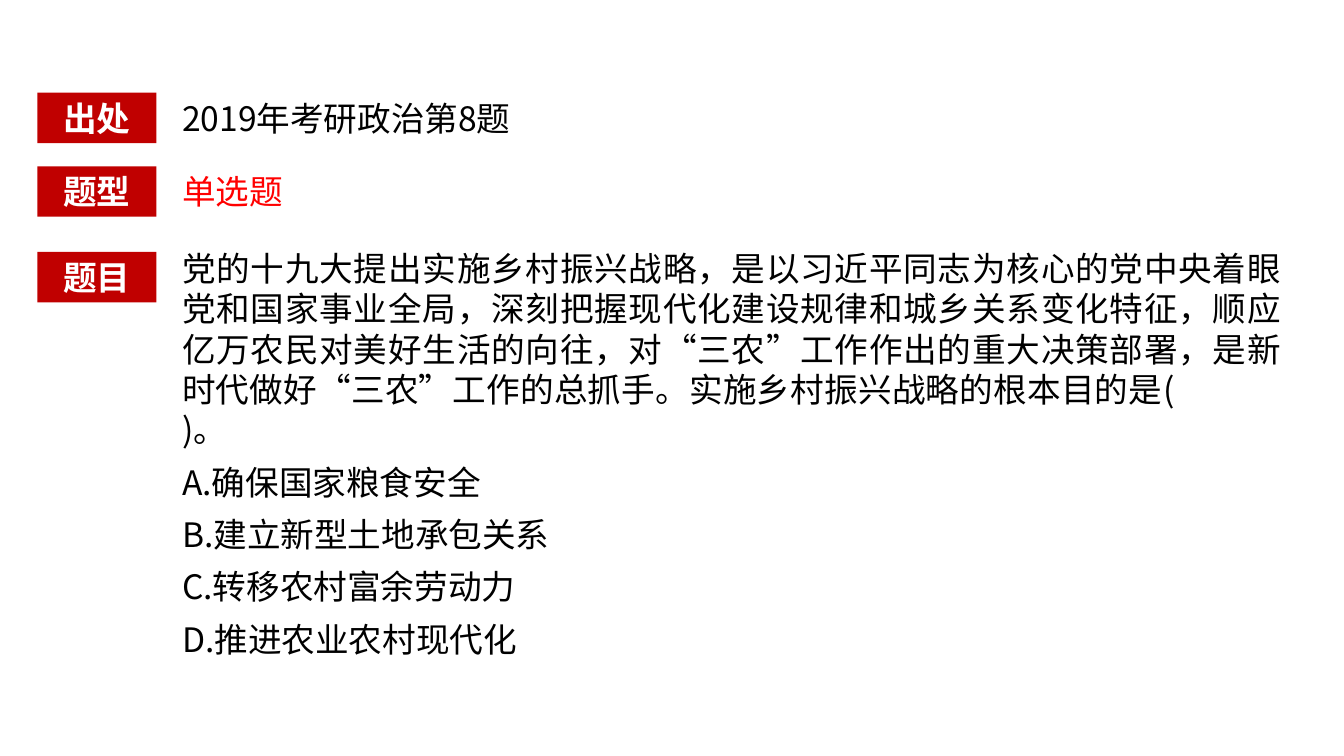
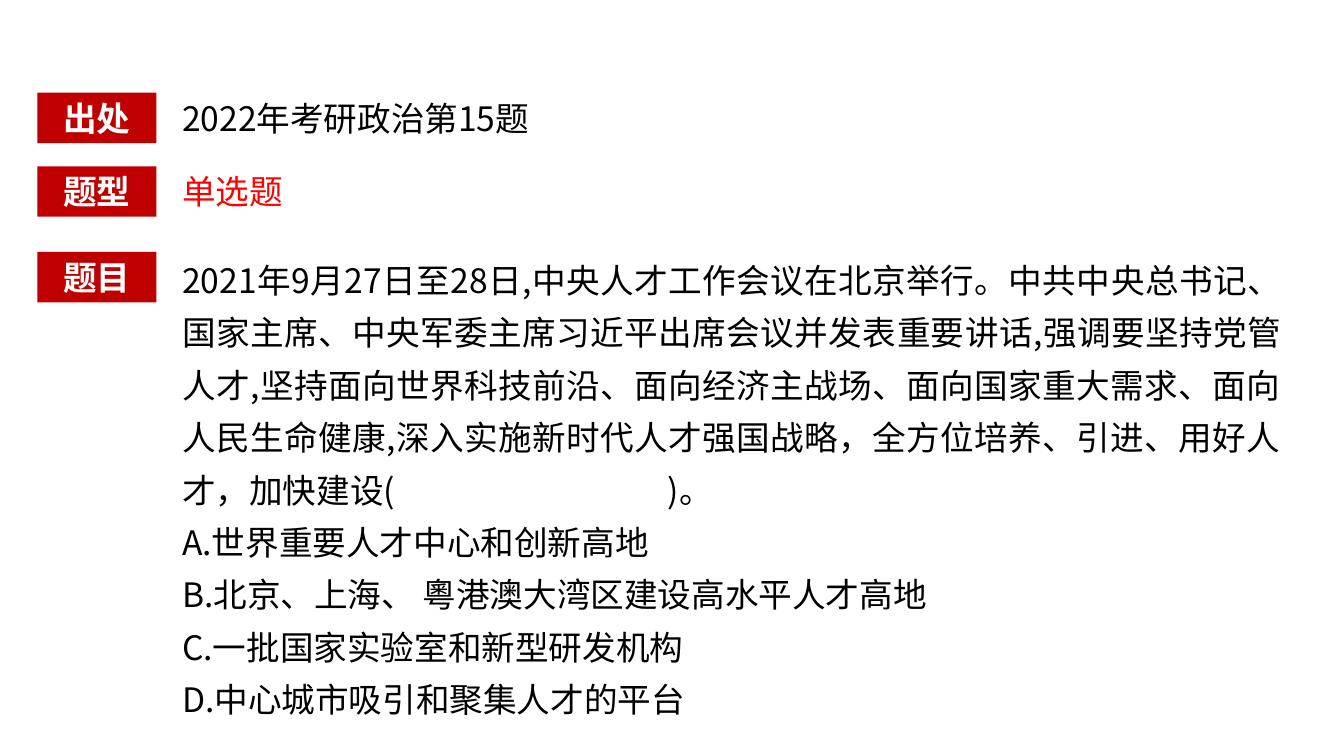
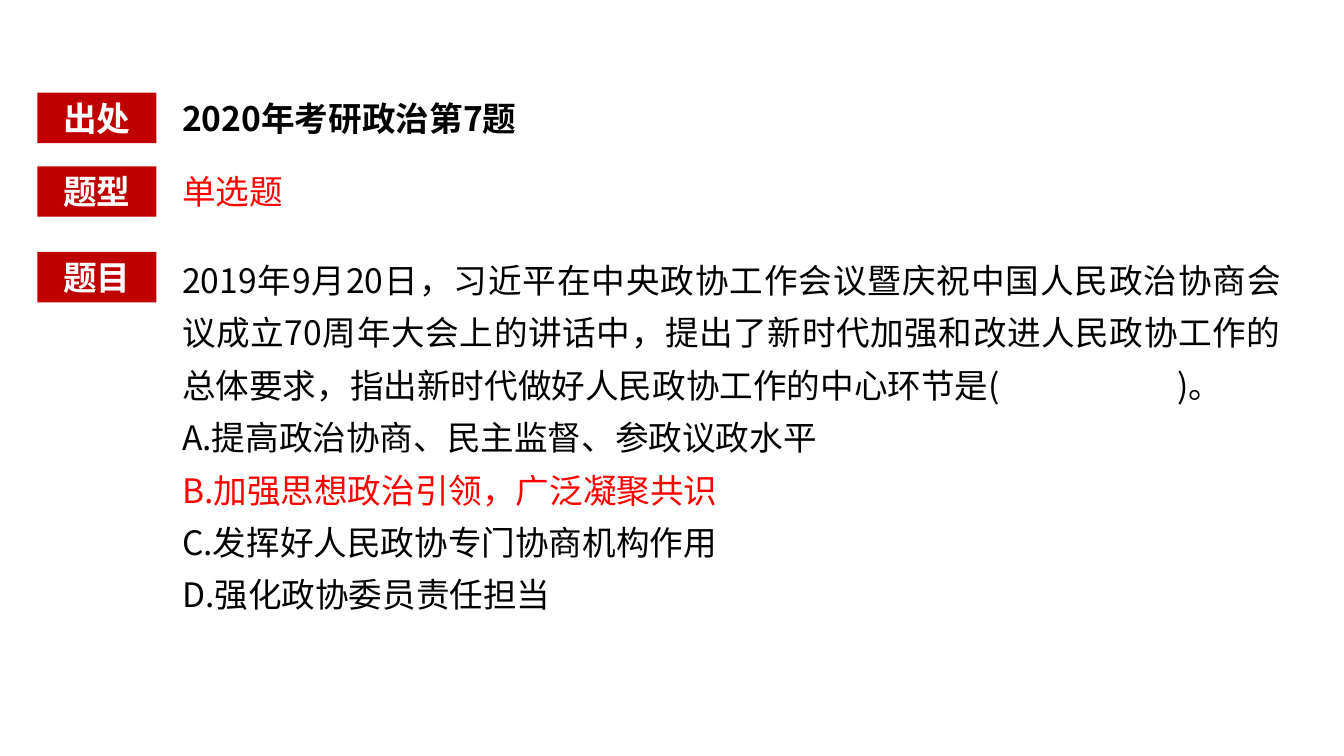
"""Build three exam-question slides that share one labelled layout."""
import pptx
import pptx.util
import pptx.dml.color
import pptx.enum.shapes
import pptx.enum.text
import pptx.oxml.ns
import lxml.etree

Pt = pptx.util.Pt
RGBColor = pptx.dml.color.RGBColor
ALIGN = pptx.enum.text.PP_ALIGN
ANCHOR = pptx.enum.text.MSO_ANCHOR
qn = pptx.oxml.ns.qn

FONT = "Noto Sans CJK SC"
TEXT_SIZE = 24
BLACK = RGBColor(0x00, 0x00, 0x00)
WHITE = RGBColor(0xFF, 0xFF, 0xFF)
RED = RGBColor(0xFF, 0x00, 0x00)
DARK_RED = RGBColor(0xC0, 0x00, 0x00)

LABEL_LEFT, LABEL_WIDTH, ROW_HEIGHT = 26.64, 85, 36
TEXT_LEFT, LINE_WIDTH, QUESTION_WIDTH = 123, 652, 799.2
SOURCE_TOP, TYPE_TOP, LABEL_TOP, QUESTION_TOP = 66.24, 118.8, 180, 173.52
LABELS = [("出处", SOURCE_TOP), ("题型", TYPE_TOP), ("题目", LABEL_TOP)]
QUESTION_TYPE = "单选题"
OPTION_SPACING = 1.3

QUESTIONS = [
    {
        "source": "2019年考研政治第8题",
        "source_bold": False,
        "stem": "党的十九大提出实施乡村振兴战略，是以习近平同志为核心的党中央着眼党和国家事业全局，"
                "深刻把握现代化建设规律和城乡关系变化特征，顺应亿万农民对美好生活的向往，"
                "对“三农”工作作出的重大决策部署，是新时代做好“三农”工作的总抓手。"
                "实施乡村振兴战略的根本目的是(\t)。",
        "stem_spacing": 1.0,
        "tab_stops": [77, 780],
        "height": 300,
        "options": ["确保国家粮食安全", "建立新型土地承包关系", "转移农村富余劳动力", "推进农业农村现代化"],
        "answer": None,
    },
    {
        "source": "2022年考研政治第15题",
        "source_bold": False,
        "stem": "2021年9月27日至28日,中央人才工作会议在北京举行。中共中央总书记、国家主席、"
                "中央军委主席习近平出席会议并发表重要讲话,强调要坚持党管人才,"
                "坚持面向世界科技前沿、面向经济主战场、面向国家重大需求、面向人民生命健康,"
                "深入实施新时代人才强国战略，全方位培养、引进、用好人才，加快建设(\t)。",
        "stem_spacing": OPTION_SPACING,
        "tab_stops": [347],
        "height": 344,
        "options": ["世界重要人才中心和创新高地", "北京、上海、 粵港澳大湾区建设高水平人才高地",
                    "一批国家实验室和新型研发机构", "中心城市吸引和聚集人才的平台"],
        "answer": None,
    },
    {
        "source": "2020年考研政治第7题",
        "source_bold": True,
        "stem": "2019年9月20日，习近平在中央政协工作会议暨庆祝中国人民政治协商会议成立70周年大会上的讲话中，"
                "提出了新时代加强和改进人民政协工作的总体要求，指出新时代做好人民政协工作的中心环节是(\t)。",
        "stem_spacing": OPTION_SPACING,
        "tab_stops": [711],
        "height": 268.6,
        "options": ["提高政治协商、民主监督、参政议政水平", "加强思想政治引领，广泛凝聚共识",
                    "发挥好人民政协专门协商机构作用", "强化政协委员责任担当"],
        "answer": "B",
    },
]


def write(para, text, color=BLACK, bold=False):
    span = para.add_run()
    span.text = text
    span.font.size = Pt(TEXT_SIZE)
    span.font.bold = bold
    span.font.color.rgb = color
    span.font.name = FONT
    properties = span.font._element
    lxml.etree.SubElement(properties, qn("a:ea")).set("typeface", FONT)


def fit(frame):
    frame.word_wrap = True
    frame.auto_size = pptx.enum.text.MSO_AUTO_SIZE.SHAPE_TO_FIT_TEXT


def add_label(page, text, top):
    label = page.shapes.add_shape(
        pptx.enum.shapes.MSO_SHAPE.RECTANGLE,
        Pt(LABEL_LEFT), Pt(top), Pt(LABEL_WIDTH), Pt(ROW_HEIGHT))
    label.shadow.inherit = False
    label.fill.solid()
    label.fill.fore_color.rgb = DARK_RED
    label.line.fill.background()
    fit(label.text_frame)
    label.text_frame.vertical_anchor = ANCHOR.MIDDLE
    para = label.text_frame.paragraphs[0]
    para.alignment = ALIGN.CENTER
    write(para, text, WHITE, True)


def add_box(page, top, width, height):
    box = page.shapes.add_textbox(Pt(TEXT_LEFT), Pt(top), Pt(width), Pt(height))
    fit(box.text_frame)
    return box.text_frame


def add_tab_stops(para, stops):
    tab_list = lxml.etree.SubElement(para._p.get_or_add_pPr(), qn("a:tabLst"))
    for stop in stops:
        tab = lxml.etree.SubElement(tab_list, qn("a:tab"))
        tab.set("pos", str(int(Pt(stop))))
        tab.set("algn", "l")


def add_question(page, question):
    frame = add_box(page, QUESTION_TOP, QUESTION_WIDTH, question["height"])
    stem = frame.paragraphs[0]
    add_tab_stops(stem, question["tab_stops"])
    stem.alignment = ALIGN.JUSTIFY
    stem.line_spacing = question["stem_spacing"]
    write(stem, question["stem"])
    for letter, option in zip("ABCD", question["options"]):
        para = frame.add_paragraph()
        para.line_spacing = OPTION_SPACING
        write(para, f"{letter}.{option}", RED if letter == question["answer"] else BLACK)


def main():
    deck = pptx.Presentation()
    deck.slide_width, deck.slide_height = Pt(960), Pt(540)
    for question in QUESTIONS:
        page = deck.slides.add_slide(deck.slide_layouts[6])
        for text, top in LABELS:
            add_label(page, text, top)
        source = add_box(page, SOURCE_TOP, LINE_WIDTH, ROW_HEIGHT)
        write(source.paragraphs[0], question["source"], bold=question["source_bold"])
        kind = add_box(page, TYPE_TOP, LINE_WIDTH, ROW_HEIGHT)
        write(kind.paragraphs[0], QUESTION_TYPE, RED)
        add_question(page, question)
    deck.save("out.pptx")


if __name__ == "__main__":
    main()
